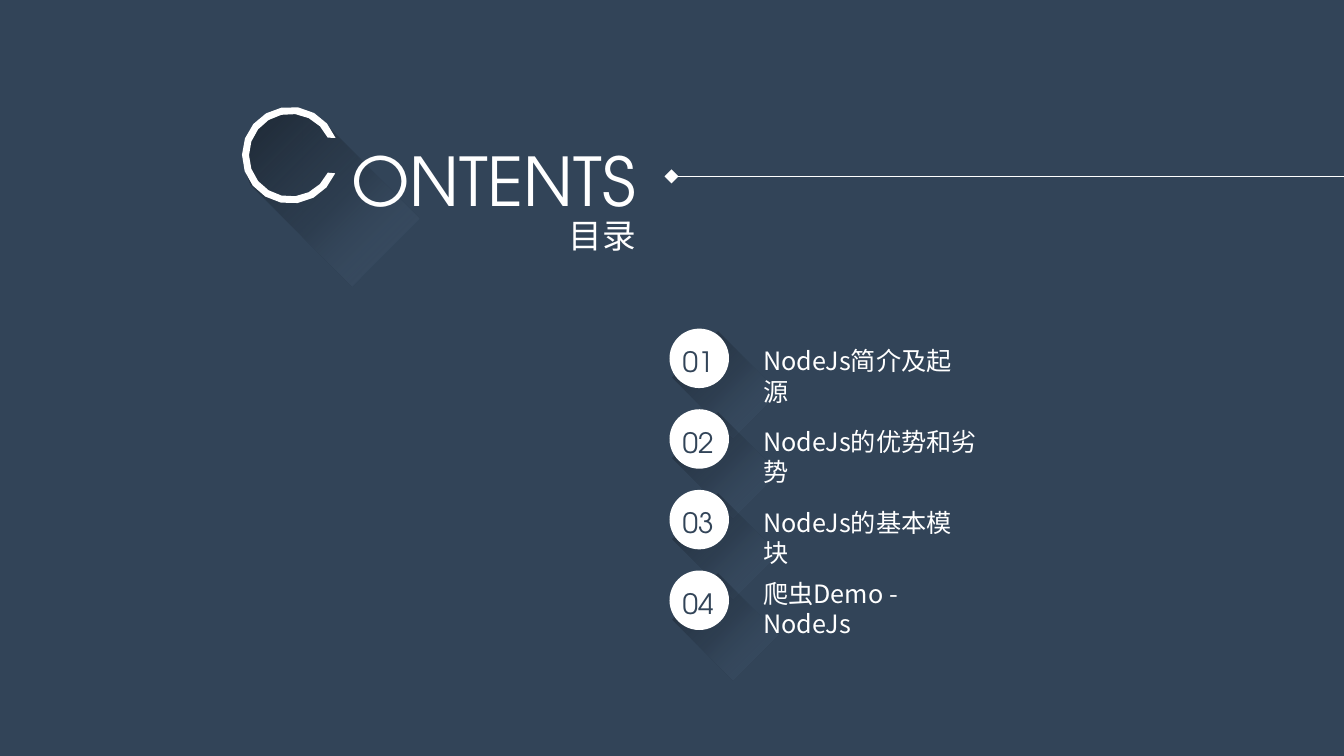
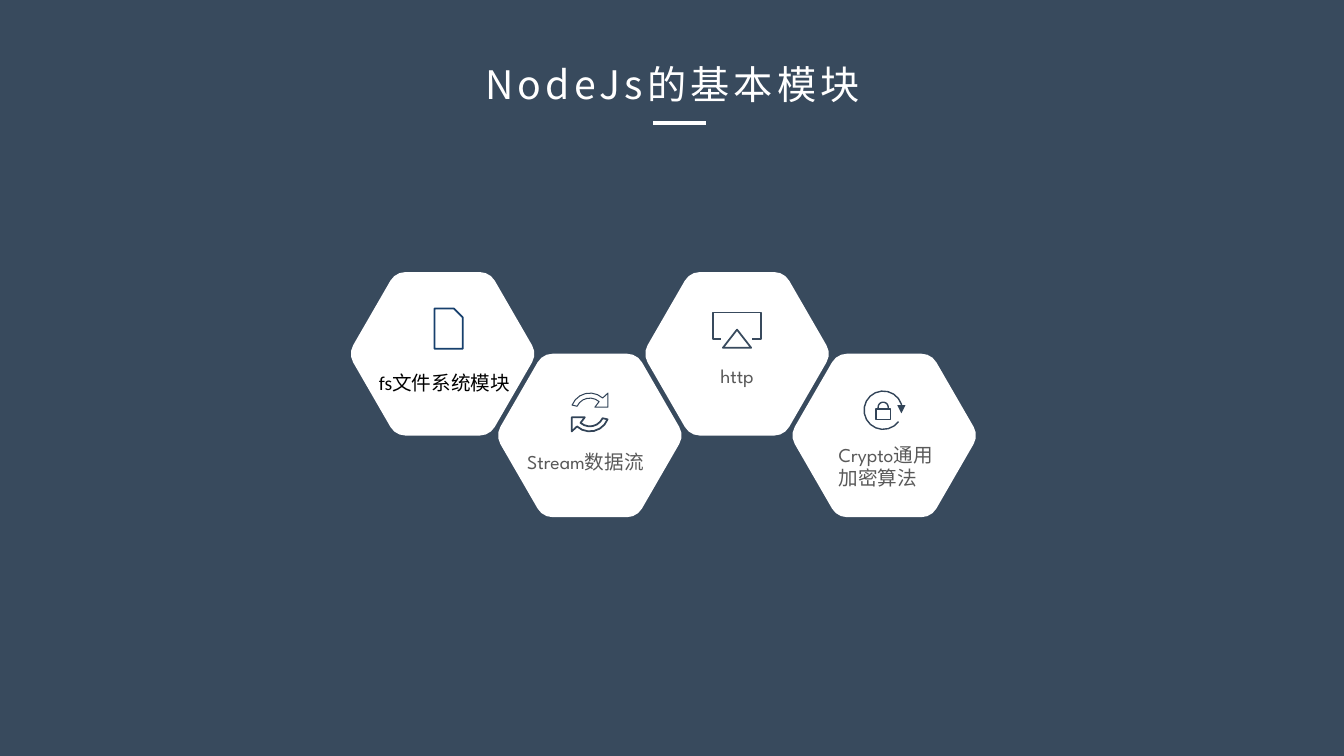
import math

import lxml.etree
import pptx
import pptx.dml.color
import pptx.enum.shapes
import pptx.enum.text
import pptx.oxml.ns
import pptx.util

Inches = pptx.util.Inches
Pt = pptx.util.Pt
color = pptx.dml.color.RGBColor.from_string
qn = pptx.oxml.ns.qn
SHAPE = pptx.enum.shapes.MSO_SHAPE
ALIGN = pptx.enum.text.PP_ALIGN

WHITE, NAVY, SLATE, GREY = "FFFFFF", "324458", "384A5D", "595959"
CHINESE, GEOMETRIC, LABEL = "Noto Sans CJK SC", "TeX Gyre Adventor", "League Spartan"


def write_text(shape, box, text, size, font, hex_color, align=ALIGN.LEFT):
    """Place a text box or placeholder and write one formatted paragraph."""
    shape.left, shape.top, shape.width, shape.height = map(Inches, box)
    frame = shape.text_frame
    frame.word_wrap = True
    frame.auto_size = pptx.enum.text.MSO_AUTO_SIZE.SHAPE_TO_FIT_TEXT
    frame.vertical_anchor = pptx.enum.text.MSO_ANCHOR.TOP
    paragraph = frame.paragraphs[0]
    paragraph.text = text
    paragraph.alignment = align
    paragraph.font.size = Pt(size)
    paragraph.font.color.rgb = color(hex_color)
    paragraph.font.name = font
    lxml.etree.SubElement(paragraph.font._rPr, qn("a:ea"), typeface=CHINESE)
    return paragraph


def add_outline(slide, parts, fill=None, line=None, width=1, closed=True):
    """Draw a freeform from points (x, y) and arcs (x, y, radius, start, end)."""
    points = []
    for part in parts:
        if len(part) == 2:
            points.append(part)
            continue
        x, y, radius, start, end = part
        steps = math.ceil(abs(end - start) / 20)
        for step in range(steps + 1):
            angle = math.radians(start + (end - start) * step / steps)
            points.append((x + radius * math.cos(angle), y + radius * math.sin(angle)))
    points = [(Inches(x), Inches(y)) for x, y in points]
    builder = slide.shapes.build_freeform(*points[0])
    builder.add_line_segments(points[1:], close=closed)
    shape = builder.convert_to_shape()
    shape.shadow.inherit = False
    if fill:
        shape.fill.solid()
        shape.fill.fore_color.rgb = color(fill)
    else:
        shape.fill.background()
    if line:
        shape.line.color.rgb = color(line)
        shape.line.width = Pt(width)
    else:
        shape.line.fill.background()
    return shape


# Presentation, backgrounds and titles
presentation = pptx.Presentation()
presentation.slide_width = Inches(13.33)
presentation.slide_height = Inches(7.5)
contents, modules_slide = [
    presentation.slides.add_slide(presentation.slide_layouts[5]) for _ in range(2)
]
for slide, background in ((contents, NAVY), (modules_slide, SLATE)):
    slide.background.fill.solid()
    slide.background.fill.fore_color.rgb = color(background)
write_text(contents.shapes.title, (4.46, 2.08, 1.95, 0.5), "目录", 24, CHINESE, WHITE, ALIGN.RIGHT)
title = write_text(modules_slide.shapes.title, (4.31, 0.55, 4.72, 0.57),
                   "NodeJs的基本模块", 28, CHINESE, WHITE, ALIGN.CENTER)
title.font._rPr.set("spc", "300")

# Contents: long fading shadows behind the big letter and the numbers
agenda = [
    ("NodeJs简介及起源", 3.38, 2.26),
    ("NodeJs的优势和劣势", 4.18, 2.38),
    ("NodeJs的基本模块", 4.98, 2.26),
    ("爬虫Demo - NodeJs", 5.69, 2.26),
]
row_step = 0.8
letter_shadow = add_outline(
    contents, [(4.09, 1.4), (4.09, 2.35), (2.79, 1.875, 0.49, 104, 256)], fill=NAVY)
shadows = [(letter_shadow, (0, 100), (58, 35))]
for row in range(len(agenda)):
    shape = contents.shapes.add_shape(
        SHAPE.RECTANGLE, Inches(6.77), Inches(3.5 + row * row_step), Inches(0.85), Inches(0.64))
    shape.shadow.inherit = False
    shape.line.fill.background()
    shadows.append((shape, (0, 70), (50, 30)))
for shape, first, middle in shadows:
    shape.rotation = 45
    shape.fill.gradient()
    shape.fill.gradient_angle = 0
    stops = shape._element.spPr.find(qn("a:gradFill")).find(qn("a:gsLst"))
    for stop in list(stops):
        stops.remove(stop)
    for (position, opacity), shade in zip((first, middle, (100, 0)), ("19222C", "263342", "718EAE")):
        stop = lxml.etree.SubElement(stops, qn("a:gs"), pos=str(position * 1000))
        stop_color = lxml.etree.SubElement(stop, qn("a:srgbClr"), val=shade)
        lxml.etree.SubElement(stop_color, qn("a:alpha"), val=str(opacity * 1000))

# Contents: heading with its drawn initial
write_text(contents.shapes.add_textbox(0, 0, 0, 0), (2.78, 1.33, 4.23, 0.91),
           "ONTENTS", 48, GEOMETRIC, WHITE, ALIGN.CENTER)
add_outline(contents, [(2.88, 1.54, 0.48, -21, -338), (2.88, 1.54, 0.41, -335, -25)], fill=WHITE)

# Contents: numbered entries
for row, (entry, top, width) in enumerate(agenda):
    offset = row * row_step
    circle = contents.shapes.add_shape(
        SHAPE.OVAL, Inches(6.64), Inches(3.26 + offset), Inches(0.59), Inches(0.59))
    circle.shadow.inherit = False
    circle.fill.solid()
    circle.fill.fore_color.rgb = color(WHITE)
    circle.line.fill.background()
    write_text(contents.shapes.add_textbox(0, 0, 0, 0), (6.63, 3.37 + offset, 0.59, 0.44),
               f"{row + 1:02}", 20, GEOMETRIC, NAVY, ALIGN.CENTER)
    write_text(contents.shapes.add_textbox(0, 0, 0, 0), (7.47, top, width, 0.4),
               entry, 18, CHINESE, WHITE)

# Modules: rounded hexagons, alternately high and low, with labels
labels = [
    ("fs文件系统模块", (3.66, 3.63, 1.58, 0.34), "Calibri", "000000", ALIGN.LEFT),
    ("Stream数据流", (5.13, 4.41, 1.45, 0.34), LABEL, GREY, ALIGN.LEFT),
    ("http", (6.77, 3.56, 1.08, 0.34), LABEL, GREY, ALIGN.CENTER),
    ("Crypto通用加密算法", (8.22, 4.34, 1.25, 0.57), LABEL, GREY, ALIGN.LEFT),
]
for column, (label, box, font, hex_color, align) in enumerate(labels):
    center_x = 4.39 + 1.46 * column
    center_y = 3.51 + 0.81 * (column % 2)
    corners = []
    for angle in range(0, 360, 60):
        corners.append((center_x + 0.74 * math.cos(math.radians(angle)),
                        center_y + 0.74 * math.sin(math.radians(angle)),
                        0.17, angle - 30, angle + 30))
    add_outline(modules_slide, corners, fill=WHITE)
    write_text(modules_slide.shapes.add_textbox(0, 0, 0, 0), box, label, 14, font, hex_color, align)

# Modules: file icon
add_outline(modules_slide, [(4.31, 3.06), (4.5, 3.06), (4.59, 3.15), (4.59, 3.46), (4.31, 3.46)],
            line="17406D", width=1.25)

# Modules: stream icon, two arrows half a turn apart
for turn, sign, width in ((0, 1, 0.75), (180, -1, 1.25)):
    x, y = 5.85, 4.09
    head = [(x + sign * dx, y + sign * dy)
            for dx, dy in ((0.18, -0.19), (0.18, -0.05), (0.05, -0.05))]
    add_outline(modules_slide,
                [(x, y, 0.19, 202 + turn, 312 + turn), *head, (x, y, 0.14, 311 + turn, 205 + turn)],
                line=NAVY, width=width)

# Modules: screen icon
add_outline(modules_slide, [(7.15, 3.36), (7.07, 3.36), (7.07, 3.1), (7.55, 3.1), (7.55, 3.36), (7.46, 3.36)],
            line=SLATE, width=1.25, closed=False)
add_outline(modules_slide, [(7.17, 3.45), (7.31, 3.27), (7.45, 3.45)], line=SLATE, width=1.25)

# Modules: padlock icon inside a turning arrow
add_outline(modules_slide, [(8.76, 4.07, 0.19, 37, 360)], line=NAVY, closed=False)
add_outline(modules_slide, [(8.9, 4.02), (8.98, 4.02), (8.94, 4.1)], fill=NAVY)
add_outline(modules_slide, [(8.71, 4.06), (8.76, 4.04, 0.05, 180, 360), (8.81, 4.06)],
            line=NAVY, closed=False)
add_outline(modules_slide, [(8.69, 4.06), (8.83, 4.06), (8.83, 4.16), (8.69, 4.16)], line=NAVY)

# Rules beside and below the headings
for slide, start, end, y, width, tail in (
    (contents, 13.33, 6.66, 1.75, 0.75, "diamond"),
    (modules_slide, 6.48, 7, 1.22, 2.5, None),
):
    rule = slide.shapes.add_connector(
        pptx.enum.shapes.MSO_CONNECTOR.STRAIGHT, Inches(start), Inches(y), Inches(end), Inches(y))
    rule.line.color.rgb = color(WHITE)
    rule.line.width = Pt(width)
    if tail:
        lxml.etree.SubElement(rule.line._get_or_add_ln(), qn("a:tailEnd"), type=tail, w="lg", len="lg")
    lxml.etree.SubElement(rule._element.spPr, qn("a:effectLst"))

presentation.save("out.pptx")
